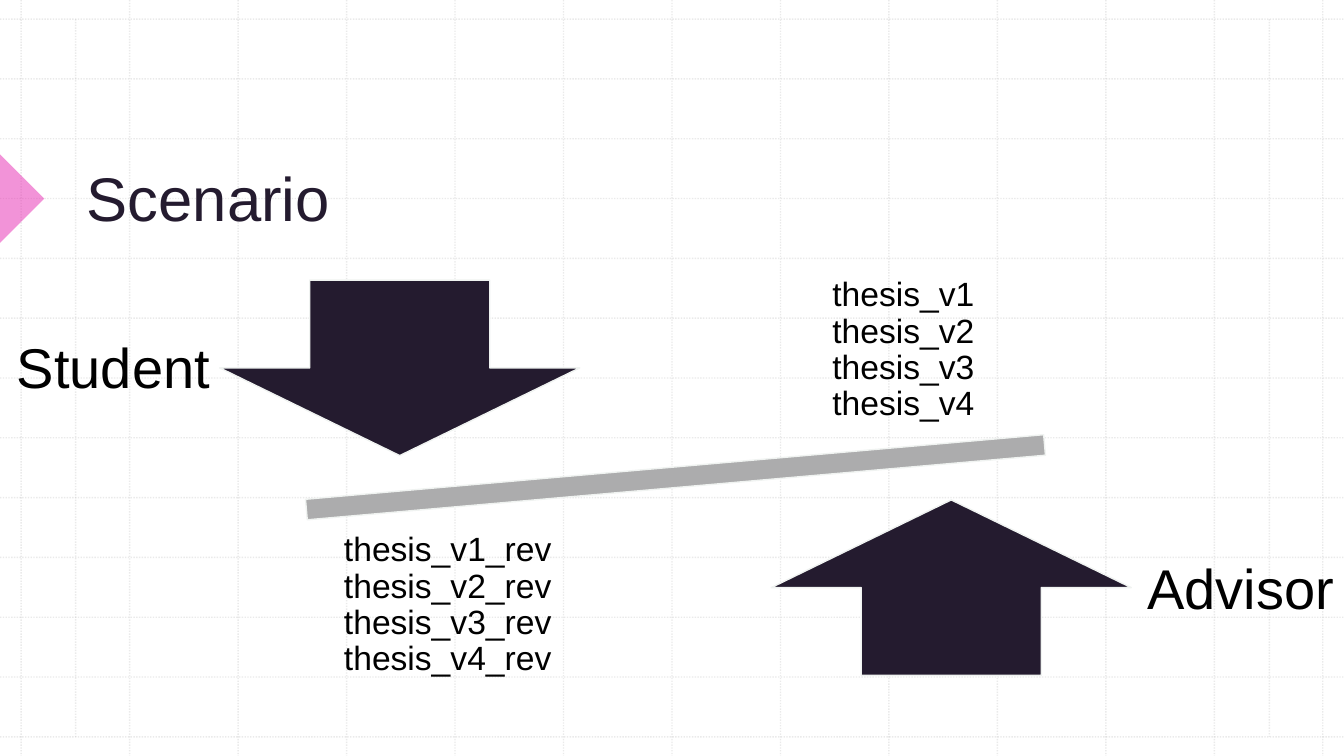
from dataclasses import dataclass
from typing import Optional

from lxml import etree
from pptx import Presentation
from pptx.dml.color import RGBColor
from pptx.enum import dml, shapes, text
from pptx.oxml import ns
from pptx.util import Inches, Pt


@dataclass(frozen=True)
class Theme:
    font: str = "Arial"
    dark: str = "241B2F"
    ink: str = "000000"
    accent: str = "E729B2"
    bar: str = "ACACAD"
    edge: str = "F0F3F1"
    grid: str = "BCBCBC"
    title_size: int = 44
    label_size: int = 40
    list_size: int = 24


@dataclass(frozen=True)
class Box:
    left: float
    top: float
    width: float
    height: float

    def place(self, sp) -> None:
        sp.left, sp.top = Inches(self.left), Inches(self.top)
        sp.width, sp.height = Inches(self.width), Inches(self.height)


@dataclass(frozen=True)
class Figure:
    kind: shapes.MSO_SHAPE
    box: Box
    fill: str
    rotation: float = 0
    edge: Optional[str] = None
    opacity: int = 100


@dataclass(frozen=True)
class VersionList:
    placeholder: int
    box: Box
    suffix: str


@dataclass(frozen=True)
class Label:
    wording: str
    box: Box


THEME = Theme()
WIDTH, HEIGHT = 13.33, 7.5
GRID_LINES = 13
GRID_LEFT, GRID_RIGHT = 0.21, 13.12
GRID_TOP, GRID_BOTTOM = 0.19, 7.31
MARGIN_LINES = (0.75, 12.59)

TITLE_BOX = Box(0.76, 0.79, 11.29, 1.58)
FIGURES = [
    Figure(shapes.MSO_SHAPE.RIGHT_TRIANGLE, Box(-0.31, 1.66, 0.62, 0.62),
           THEME.accent, rotation=225, opacity=50),
    Figure(shapes.MSO_SHAPE.MATH_MINUS, Box(1.7, 4.3, 10, 0.87),
           THEME.bar, rotation=355, edge=THEME.edge),
    Figure(shapes.MSO_SHAPE.DOWN_ARROW, Box(2.18, 2.78, 3.57, 1.74),
           THEME.dark, edge=THEME.edge),
    Figure(shapes.MSO_SHAPE.UP_ARROW, Box(7.65, 4.96, 3.57, 1.74),
           THEME.dark, edge=THEME.edge),
]
VERSION_LISTS = [
    VersionList(1, Box(7.06, 2.56, 3.8, 1.83), ""),
    VersionList(2, Box(2.54, 5.09, 3.8, 1.83), "_rev"),
]
LABELS = [
    Label("Student", Box(0.07, 3.25, 2.29, 0.77)),
    Label("Advisor", Box(11.28, 5.44, 2.29, 0.77)),
]


def set_opacity(fill_owner, percent: int) -> None:
    """Add an alpha value to the solid colour below the given element."""
    color = next(fill_owner.iter(ns.qn("a:srgbClr")))
    etree.SubElement(color, ns.qn("a:alpha"), val=str(percent * 1000))


def write(sp, lines: list[str], *, size: int, color: str = THEME.ink,
          align=text.PP_ALIGN.LEFT, anchor=text.MSO_ANCHOR.TOP,
          inset: Optional[float] = None, spacing: float = 1.0) -> None:
    tf = sp.text_frame
    tf.word_wrap = True
    tf.auto_size = text.MSO_AUTO_SIZE.NONE
    tf.vertical_anchor = anchor
    if inset is not None:
        tf.margin_left = tf.margin_right = Inches(inset)
        tf.margin_top = tf.margin_bottom = Inches(inset)
    tf.text = "\n".join(lines)
    for p in tf.paragraphs:
        p.alignment, p.line_spacing = align, spacing
        p.space_before = p.space_after = Pt(0)
        for r in p.runs:
            r.font.name, r.font.size = THEME.font, Pt(size)
            r.font.color.rgb = RGBColor.from_string(color)


def remove_bullets(sp) -> None:
    for p in sp.text_frame.paragraphs:
        props = p._p.get_or_add_pPr()
        props.set("marL", "0")
        props.set("indent", "0")
        etree.SubElement(props, ns.qn("a:buNone"))


def add_grid_line(slide, x1: float, y1: float, x2: float, y2: float):
    line = slide.shapes.add_connector(
        shapes.MSO_CONNECTOR.STRAIGHT,
        Inches(x1), Inches(y1), Inches(x2), Inches(y2))
    line.line.width = Pt(1)
    line.line.color.rgb = RGBColor.from_string(THEME.grid)
    line.line.dash_style = dml.MSO_LINE.ROUND_DOT
    props = line._element.spPr
    set_opacity(props, 30)
    etree.SubElement(props, ns.qn("a:effectLst"))
    return line


def add_grid(slide) -> None:
    """Draw the dotted grid behind everything else."""
    step_x = (GRID_RIGHT - GRID_LEFT) / (GRID_LINES - 1)
    step_y = (GRID_BOTTOM - GRID_TOP) / (GRID_LINES - 1)
    ends = [(x, GRID_TOP, x, GRID_BOTTOM) for x in MARGIN_LINES]
    for i in range(GRID_LINES):
        x, y = GRID_LEFT + i * step_x, GRID_TOP + i * step_y
        ends += [(x, 0, x, HEIGHT), (0, y, WIDTH, y)]
    for end in ends:
        line = add_grid_line(slide, *end)
        slide.shapes._spTree.insert(2, line._element)


def add_figure(slide, figure: Figure) -> None:
    sp = slide.shapes.add_shape(figure.kind, 0, 0, 0, 0)
    figure.box.place(sp)
    sp.rotation = figure.rotation
    sp.shadow.inherit = False
    sp.fill.solid()
    sp.fill.fore_color.rgb = RGBColor.from_string(figure.fill)
    if figure.opacity < 100:
        set_opacity(sp._element.spPr, figure.opacity)
    if figure.edge:
        sp.line.color.rgb = RGBColor.from_string(figure.edge)
        sp.line.width = Pt(1)
    else:
        sp.line.fill.background()


def add_version_list(slide, versions: VersionList) -> None:
    sp = slide.placeholders[versions.placeholder]
    versions.box.place(sp)
    write(sp, [f"thesis_v{n}{versions.suffix}" for n in range(1, 5)],
          size=THEME.list_size, align=text.PP_ALIGN.CENTER,
          anchor=text.MSO_ANCHOR.MIDDLE, inset=0.19, spacing=0.9)
    remove_bullets(sp)


def add_label(slide, label: Label) -> None:
    sp = slide.shapes.add_textbox(0, 0, 0, 0)
    label.box.place(sp)
    write(sp, [label.wording], size=THEME.label_size)


def main() -> None:
    prs = Presentation()
    prs.slide_width, prs.slide_height = Inches(WIDTH), Inches(HEIGHT)
    slide = prs.slides.add_slide(prs.slide_layouts.get_by_name("Two Content"))
    add_grid(slide)
    title = slide.shapes.title
    TITLE_BOX.place(title)
    write(title, ["Scenario"], size=THEME.title_size, color=THEME.dark,
          anchor=text.MSO_ANCHOR.BOTTOM)
    for figure in FIGURES:
        add_figure(slide, figure)
    for versions in VERSION_LISTS:
        add_version_list(slide, versions)
    for label in LABELS:
        add_label(slide, label)
    prs.save("out.pptx")


if __name__ == "__main__":
    main()
